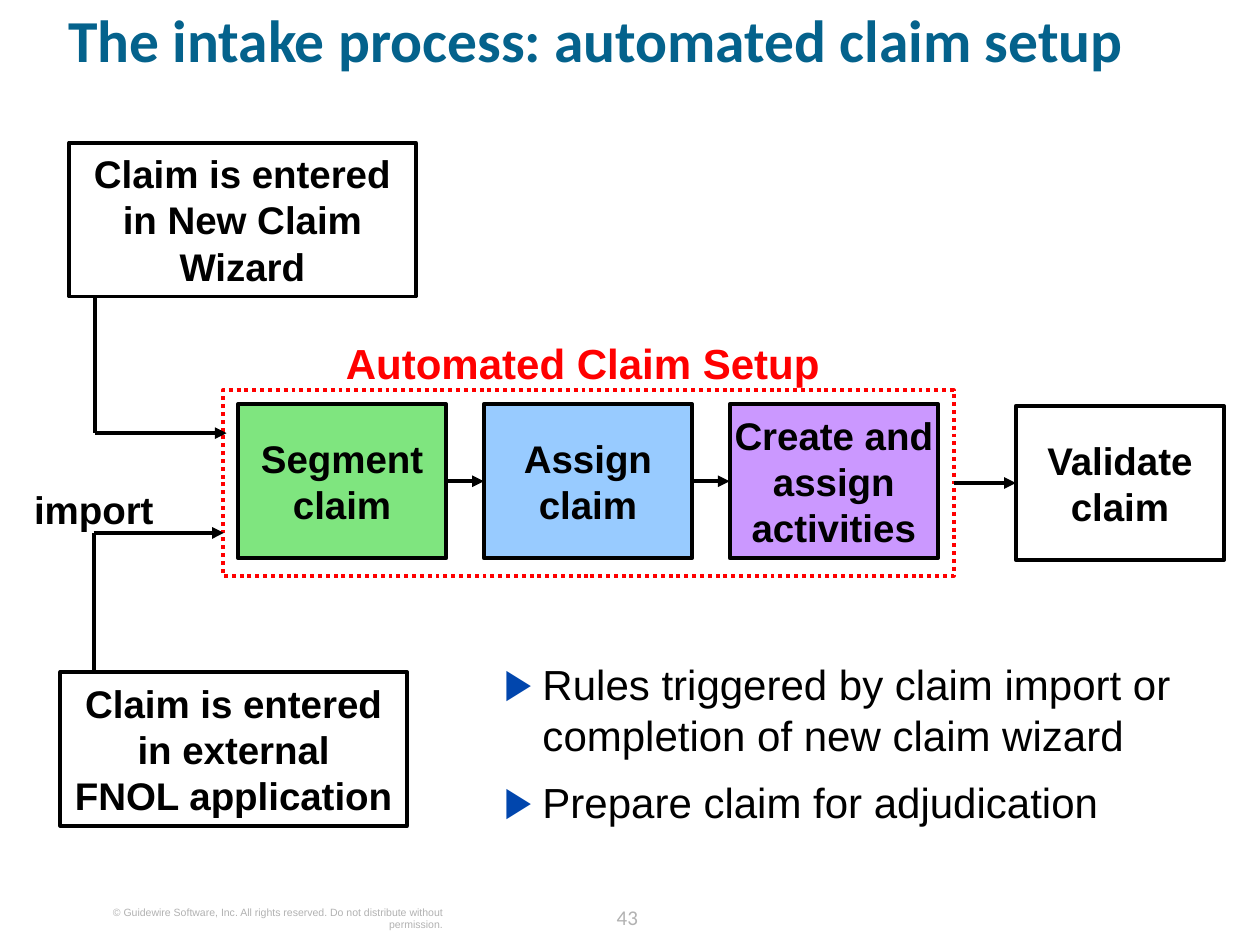
from dataclasses import dataclass

from lxml.etree import SubElement
from pptx import Presentation
from pptx.dml.color import RGBColor
from pptx.enum.dml import MSO_LINE
from pptx.enum.shapes import MSO_CONNECTOR, MSO_SHAPE
from pptx.enum.text import MSO_ANCHOR, PP_ALIGN
from pptx.oxml.ns import qn
from pptx.util import Pt


@dataclass(frozen=True)
class Theme:
    black: str = "000000"
    white: str = "FFFFFF"
    title: str = "04628C"
    red: str = "FF0000"
    green: str = "00CC00"
    blue: str = "3399FF"
    purple: str = "9933FF"
    bullet: str = "0146AD"
    gray: str = "B2B2B2"
    body_font: str = "Arial"
    title_font: str = "Calibri"
    title_size: float = 34
    body_size: float = 24
    box_size: float = 22
    number_size: float = 12
    copyright_size: float = 6
    line_width: float = 2.25


TOP, LEFT, BOTTOM, RIGHT = range(4)


class FlowPage:
    def __init__(self, page, theme):
        self.page = page
        self.theme = theme

    def style(self, para, size, color, bold, font, align):
        para.alignment = align
        para.font.size = Pt(size)
        para.font.bold = bold
        para.font.name = font
        para.font.color.rgb = RGBColor.from_string(color)

    def frame(self, shape, inset=0, anchor=MSO_ANCHOR.TOP):
        frame = shape.text_frame
        frame.word_wrap = True
        frame.margin_left = frame.margin_right = Pt(inset)
        frame.margin_top = frame.margin_bottom = 0
        frame.vertical_anchor = anchor
        return frame

    def label(self, area, text, size, color, bold=False, font=None, align=PP_ALIGN.LEFT):
        box = self.page.shapes.add_textbox(*map(Pt, area))
        para = self.frame(box).paragraphs[0]
        para.text = text
        self.style(para, size, color, bold, font or self.theme.body_font, align)
        return para

    def box(self, area, text="", fill=None, alpha=100, line=None, dash=None, inset=0):
        theme = self.theme
        box = self.page.shapes.add_shape(MSO_SHAPE.RECTANGLE, *map(Pt, area))
        box.shadow.inherit = False
        box.fill.solid()
        box.fill.fore_color.rgb = RGBColor.from_string(fill or theme.white)
        if alpha < 100:
            color = box.element.spPr.find(qn("a:solidFill"))[0]
            SubElement(color, qn("a:alpha"), val=str(alpha * 1000))
        box.line.color.rgb = RGBColor.from_string(line or theme.black)
        box.line.width = Pt(theme.line_width)
        if dash:
            box.line.dash_style = dash
        if text:
            para = self.frame(box, inset, MSO_ANCHOR.MIDDLE).paragraphs[0]
            para.text = text
            self.style(para, theme.box_size, theme.black, True, theme.body_font, PP_ALIGN.CENTER)
        return box

    def line(self, start, end, arrow=True):
        connector = self.page.shapes.add_connector(
            MSO_CONNECTOR.STRAIGHT, *map(Pt, (*start, *end)))
        connector.line.color.rgb = RGBColor.from_string(self.theme.black)
        connector.line.width = Pt(self.theme.line_width)
        properties = connector.element.spPr
        if arrow:
            SubElement(properties.find(qn("a:ln")), qn("a:tailEnd"), type="triangle")
        SubElement(properties, qn("a:effectLst"))
        return connector

    def join(self, first, second):
        connector = self.line((0, 0), (0, 0))
        connector.begin_connect(first, RIGHT)
        connector.end_connect(second, LEFT)

    def corner(self, start, end):
        bend = (start[0], end[1])
        self.line(start, bend, arrow=False)
        self.line(bend, end)

    def bullets(self, area, items, indent=22, gap=9.6):
        theme = self.theme
        frame = self.frame(self.page.shapes.add_textbox(*map(Pt, area)))
        for index, item in enumerate(items):
            para = frame.add_paragraph() if index else frame.paragraphs[0]
            para.text = item
            if index:
                para.space_before = Pt(gap)
            properties = para._p.get_or_add_pPr()
            properties.set("marL", str(Pt(indent)))
            properties.set("indent", str(-Pt(indent)))
            SubElement(SubElement(properties, qn("a:buClr")), qn("a:srgbClr"), val=theme.bullet)
            SubElement(properties, qn("a:buFont"), typeface=theme.body_font)
            SubElement(properties, qn("a:buChar"), char="▶")
            self.style(para, theme.body_size, theme.black, False, theme.body_font, PP_ALIGN.LEFT)


def main():
    deck = Presentation()
    deck.slide_width, deck.slide_height = Pt(720), Pt(540)
    theme = Theme()
    flow = FlowPage(deck.slides.add_slide(deck.slide_layouts[6]), theme)

    title = flow.label((39, 9.5, 655, 58), "The intake process: automated claim setup",
                       theme.title_size, theme.title, True, theme.title_font)
    title.line_spacing = 0.8

    setup = flow.box((127.5, 223, 417.5, 106), line=theme.red, dash=MSO_LINE.ROUND_DOT)
    flow.label((175.5, 193, 315, 29), "Automated Claim Setup",
               theme.body_size, theme.red, True, align=PP_ALIGN.CENTER)

    flow.box((39.5, 81.5, 198, 88), "Claim is entered in New Claim Wizard", inset=7)
    flow.corner((54.5, 169.5), (129.5, 247.5))
    flow.box((34.5, 384, 198, 88), "Claim is entered in external\nFNOL application", inset=7)
    flow.corner((53.5, 384), (128, 304.5))
    flow.label((19.5, 277.5, 77, 26.5), "import", theme.box_size, theme.black, True)

    stages = [
        ("Segment\nclaim", theme.green),
        ("Assign\nclaim", theme.blue),
        ("Create and assign activities", theme.purple),
    ]
    boxes = [flow.box((136 + 140.5 * index, 231, 119, 88), text, fill, alpha=50)
             for index, (text, fill) in enumerate(stages)]
    for first, second in zip(boxes, boxes[1:]):
        flow.join(first, second)

    validate = flow.box((580.5, 232, 119, 88), "Validate\nclaim")
    flow.join(setup, validate)

    flow.bullets((288, 376.5, 408, 104.5), [
        "Rules triggered by claim import or completion of new claim wizard",
        "Prepare claim for adjudication",
    ])

    flow.label((44, 517.5, 209, 15),
               "© Guidewire Software, Inc. All rights reserved. "
               "Do not distribute without permission.",
               theme.copyright_size, theme.gray, align=PP_ALIGN.RIGHT)
    number = flow.label((338, 513.5, 41, 18), "43", theme.number_size, theme.gray,
                        font=theme.title_font, align=PP_ALIGN.CENTER)
    number.line_spacing = Pt(18)

    deck.save("out.pptx")


if __name__ == "__main__":
    main()
